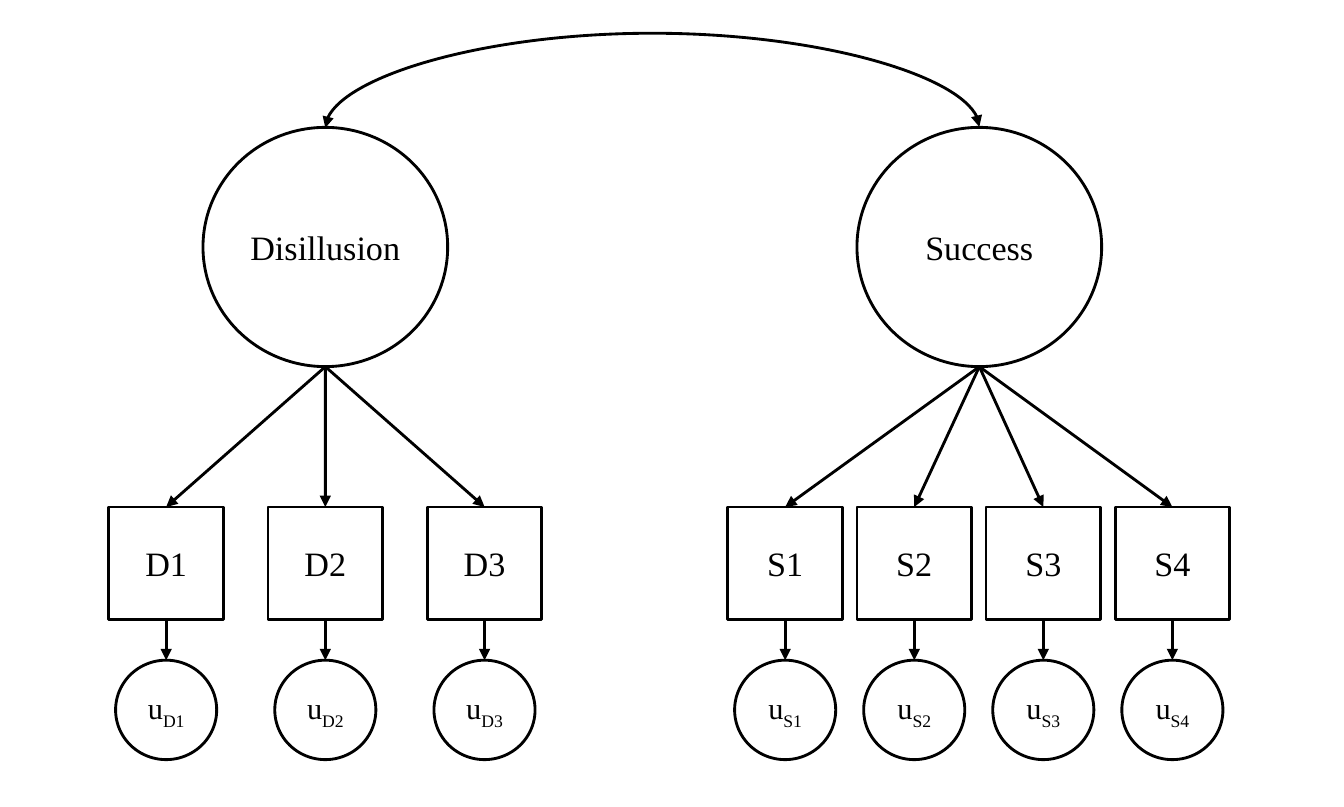
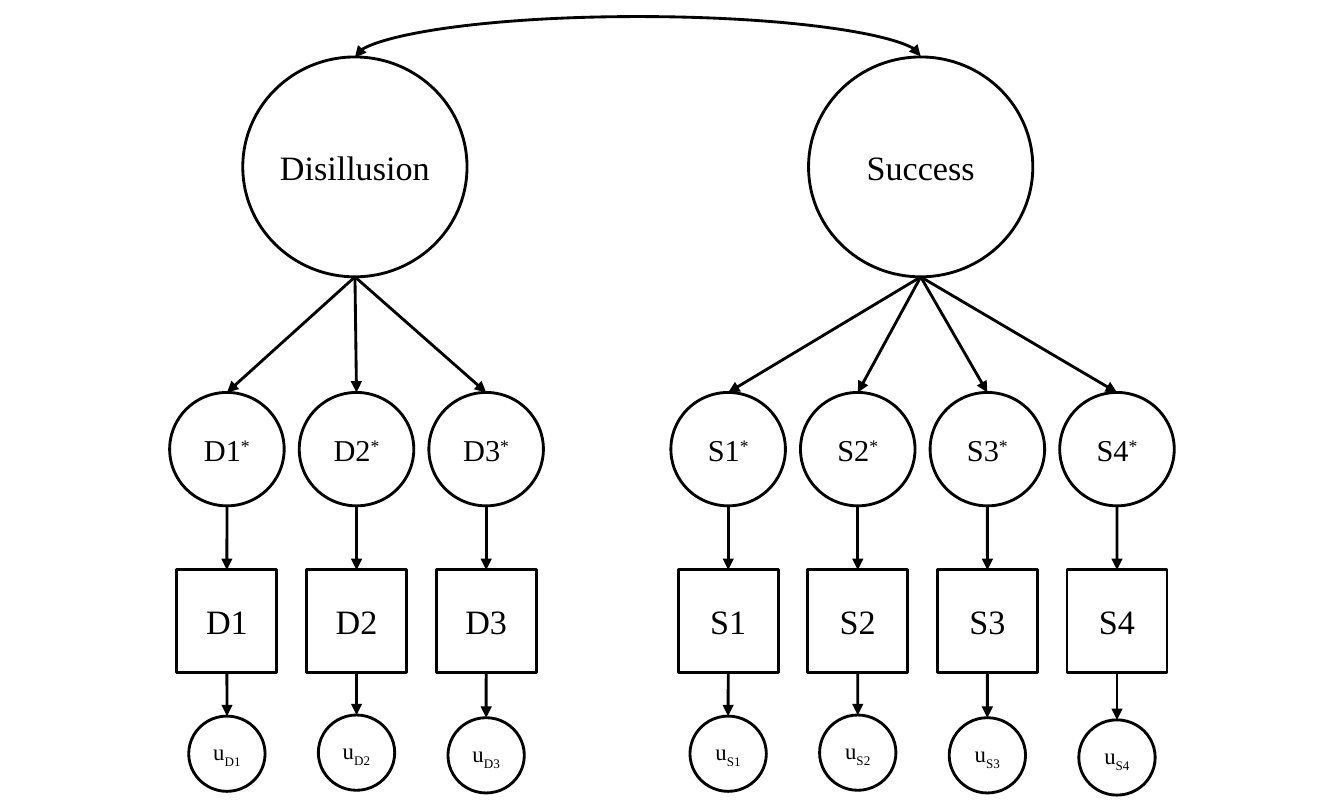
from dataclasses import dataclass

import pptx
import pptx.dml.color
import pptx.enum.shapes
import pptx.enum.text
import pptx.oxml
import pptx.oxml.ns
import pptx.util

Cm = pptx.util.Cm
Pt = pptx.util.Pt
Geometry = pptx.enum.shapes.MSO_SHAPE
Route = pptx.enum.shapes.MSO_CONNECTOR

SLIDE_WIDTH, SLIDE_HEIGHT = Cm(24.99), Cm(15.01)
BLACK = pptx.dml.color.RGBColor(0x00, 0x00, 0x00)
WHITE = pptx.dml.color.RGBColor(0xFF, 0xFF, 0xFF)
FONT = "Times New Roman"
LINE_WIDTH = Pt(1.5)
SUBSCRIPT, SUPERSCRIPT = -25000, 30000
TOP_SITE, BOX_BOTTOM_SITE, OVAL_BOTTOM_SITE = 0, 2, 4
CURVE_DEPTH = 0.02


@dataclass(frozen=True)
class NodeStyle:
    geometry: Geometry
    width: float
    height: float
    size: int
    text: str = "{}"
    script: str = ""
    baseline: int = 0


@dataclass(frozen=True)
class Row:
    style: NodeStyle
    tops: tuple[float, ...]

    def top(self, column: int) -> float:
        return self.tops[column % len(self.tops)]


@dataclass(frozen=True)
class Factor:
    name: str
    center: float
    indicators: tuple[str, ...]
    first_center: float
    pitch: float


@dataclass(frozen=True)
class Model:
    factor_style: NodeStyle
    factor_top: float
    curve_rise: float
    rows: tuple[Row, ...]
    factors: tuple[Factor, Factor]


DISILLUSION_ITEMS = ("D1", "D2", "D3")
SUCCESS_ITEMS = ("S1", "S2", "S3", "S4")


def error_style(width: float, height: float, size: int) -> NodeStyle:
    return NodeStyle(Geometry.OVAL, width, height, size, "u", "{}", SUBSCRIPT)


MODELS = (
    Model(
        factor_style=NodeStyle(Geometry.OVAL, 4.55, 4.45, 18),
        factor_top=2.37,
        curve_rise=1.76,
        rows=(
            Row(NodeStyle(Geometry.RECTANGLE, 2.13, 2.09, 18), (9.43,)),
            Row(error_style(1.88, 1.85, 16), (12.28,)),
        ),
        factors=(
            Factor("Disillusion", 6.05, DISILLUSION_ITEMS, 3.09, 2.96),
            Factor("Success", 18.21, SUCCESS_ITEMS, 14.6, 2.4),
        ),
    ),
    Model(
        factor_style=NodeStyle(Geometry.OVAL, 4.17, 4.09, 18),
        factor_top=1.06,
        curve_rise=0.76,
        rows=(
            Row(NodeStyle(Geometry.OVAL, 2.13, 2.11, 16, "{}", "*", SUPERSCRIPT), (7.3,)),
            Row(NodeStyle(Geometry.RECTANGLE, 1.86, 1.91, 18), (10.6,)),
            Row(error_style(1.42, 1.4, 12), (13.32, 13.3, 13.35, 13.39)),
        ),
        factors=(
            Factor("Disillusion", 6.6, DISILLUSION_ITEMS, 4.22, 2.41),
            Factor("Success", 17.12, SUCCESS_ITEMS, 13.54, 2.41),
        ),
    ),
)


def add_node(slide, style: NodeStyle, label: str, center: float, top: float):
    node = slide.shapes.add_shape(
        style.geometry, Cm(center - style.width / 2), Cm(top), Cm(style.width), Cm(style.height)
    )
    node.shadow.inherit = False
    node.fill.solid()
    node.fill.fore_color.rgb = WHITE
    node.line.color.rgb = BLACK
    node.line.width = LINE_WIDTH
    frame = node.text_frame
    frame.margin_left = frame.margin_right = Cm(0)
    frame.vertical_anchor = pptx.enum.text.MSO_ANCHOR.MIDDLE
    frame.text = style.text.format(label)
    paragraph = frame.paragraphs[0]
    paragraph.alignment = pptx.enum.text.PP_ALIGN.CENTER
    if style.script:
        script = paragraph.add_run()
        script.text = style.script.format(label)
        script.font._element.set("baseline", str(style.baseline))
    for run in paragraph.runs:
        run.font.name = FONT
        run.font.size = Pt(style.size)
        run.font.color.rgb = BLACK
    return node


def link(slide, route: Route, source, target, source_site: int, ends: tuple[str, ...]):
    connector = slide.shapes.add_connector(route, 0, 0, 0, 0)
    connector.begin_connect(source, source_site)
    connector.end_connect(target, TOP_SITE)
    connector.line.color.rgb = BLACK
    connector.line.width = LINE_WIDTH
    outline = connector.line._get_or_add_ln()
    for end in ends:
        outline.append(outline.makeelement(pptx.oxml.ns.qn(f"a:{end}"), {"type": "triangle"}))
    properties = connector._element.spPr
    properties.append(properties.makeelement(pptx.oxml.ns.qn("a:effectLst"), {}))
    return connector


def add_arrow(slide, source, target) -> None:
    arrow = link(slide, Route.STRAIGHT, source, target, BOX_BOTTOM_SITE, ("tailEnd",))
    if source.auto_shape_type == Geometry.OVAL:
        arrow._element.xpath(".//a:stCxn")[0].set("idx", str(OVAL_BOTTOM_SITE))


def add_correlation(slide, model: Model, left_factor, right_factor) -> None:
    curve = link(
        slide, Route.CURVE, left_factor, right_factor, TOP_SITE, ("headEnd", "tailEnd")
    )
    start, end = (factor.center for factor in model.factors)
    span = end - start
    curve.left = Cm((start + end - CURVE_DEPTH) / 2)
    curve.top = Cm(model.factor_top - span / 2)
    curve.width, curve.height = Cm(CURVE_DEPTH), Cm(span)
    transform = curve._element.spPr.xfrm
    for name, value in (("rot", "5400000"), ("flipH", "1"), ("flipV", "1")):
        transform.set(name, value)
    bend = round(model.curve_rise / CURVE_DEPTH * 100000)
    geometry = curve._element.spPr.prstGeom
    for guide_list in geometry.findall(pptx.oxml.ns.qn("a:avLst")):
        geometry.remove(guide_list)
    geometry.append(
        pptx.oxml.parse_xml(
            f'<a:avLst {pptx.oxml.ns.nsdecls("a")}><a:gd name="adj1" fmla="val {bend}"/></a:avLst>'
        )
    )


def add_factor(slide, model: Model, factor: Factor):
    factor_node = add_node(
        slide, model.factor_style, factor.name, factor.center, model.factor_top
    )
    for column, indicator in enumerate(factor.indicators):
        center = factor.first_center + column * factor.pitch
        source = factor_node
        for row in model.rows:
            target = add_node(slide, row.style, indicator, center, row.top(column))
            add_arrow(slide, source, target)
            source = target
    return factor_node


def main() -> None:
    deck = pptx.Presentation()
    deck.slide_width = SLIDE_WIDTH
    deck.slide_height = SLIDE_HEIGHT
    blank_layout = deck.slide_layouts.get_by_name("Blank")
    for model in MODELS:
        slide = deck.slides.add_slide(blank_layout)
        left_factor, right_factor = (
            add_factor(slide, model, factor) for factor in model.factors
        )
        add_correlation(slide, model, left_factor, right_factor)
    deck.save("out.pptx")


if __name__ == "__main__":
    main()
